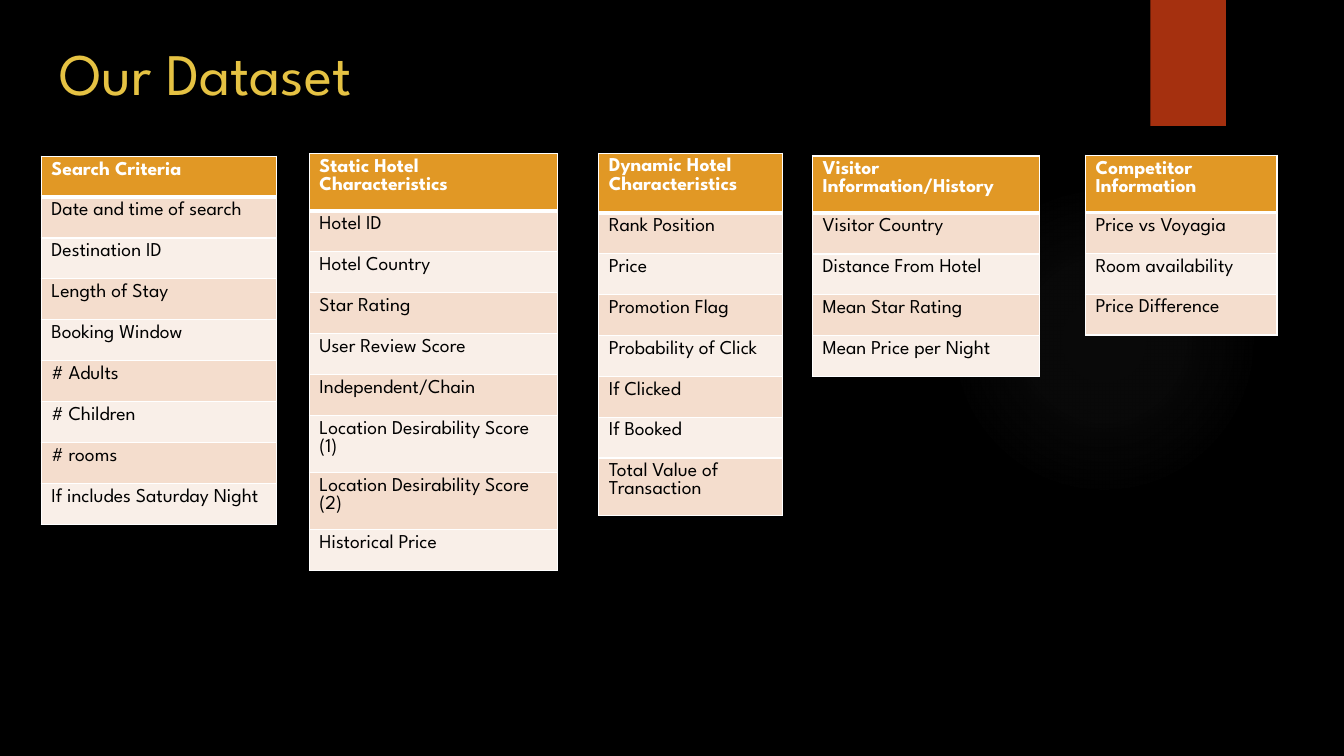
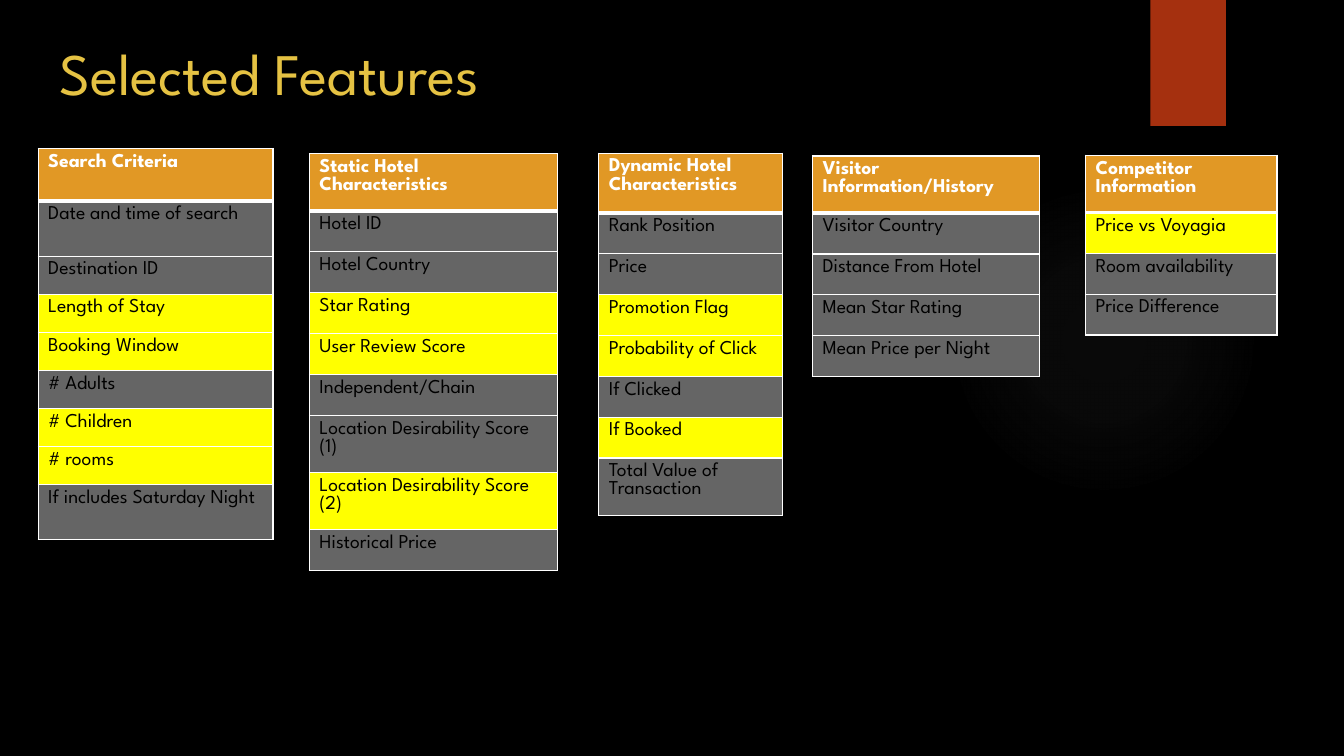
from dataclasses import dataclass, replace
from typing import Callable

from lxml.etree import SubElement
from pptx import Presentation
from pptx.dml.color import RGBColor
from pptx.enum.shapes import MSO_SHAPE as Preset
from pptx.enum.text import MSO_ANCHOR as Anchor
from pptx.oxml import parse_xml
from pptx.oxml.ns import nsdecls, qn
from pptx.util import Pt

# Shared style
FONT = "League Spartan"
BLACK, WHITE = "000000", "FFFFFF"
GOLD, RUST, ORANGE = "E5C243", "A5300F", "E19825"
BANDS = ("F4DDCD", "F9EFE8")
CHOSEN, UNUSED = "FFFF00", "656565"
GLOW = "848484"
TITLE_SIZE, CELL_SIZE = 42, 14
ROW, TWO_LINES = 29.2, 33


@dataclass(frozen=True)
class FeatureGroup:
    heading: str
    left: float
    top: float
    width: float
    heading_height: float
    features: tuple[str, ...]
    heights: tuple[float, ...] = ()


FillRule = Callable[[int, str], str]


def rgb(value: str) -> RGBColor:
    return RGBColor.from_string(value)


def style_runs(paragraph, size: float, color: str, bold: bool = False) -> None:
    for run in paragraph.runs:
        run.font.name = FONT
        run.font.size = Pt(size)
        run.font.bold = bold
        run.font.color.rgb = rgb(color)


# Backdrop and title, the same on every slide
def add_plain_shape(slide, preset, left: float, top: float, width: float, height: float):
    shape = slide.shapes.add_shape(preset, Pt(left), Pt(top), Pt(width), Pt(height))
    shape.shadow.inherit = False
    shape.line.fill.background()
    return shape


def add_glow(slide) -> None:
    glow = add_plain_shape(slide, Preset.OVAL, 677.5, 131.8, 221.8, 221.8)
    stops = "".join(
        f'<a:gs pos="{place * 1000}"><a:srgbClr val="{GLOW}">'
        f'<a:alpha val="{opacity * 1000}"/></a:srgbClr></a:gs>'
        for place, opacity in ((0, 7), (36, 6), (69, 0), (100, 0))
    )
    gradient = parse_xml(
        f'<a:gradFill {nsdecls("a")} rotWithShape="1"><a:gsLst>{stops}</a:gsLst>'
        '<a:path path="circle"><a:fillToRect l="50000" t="50000" r="50000" b="50000"/>'
        "</a:path></a:gradFill>"
    )
    glow._element.spPr.find(qn("a:prstGeom")).addnext(gradient)


def add_titled_slide(deck, title: str):
    slide = deck.slides.add_slide(deck.slide_layouts[6])
    add_glow(slide)
    ribbon = add_plain_shape(slide, Preset.RECTANGLE, 821.7, 0, 54, 90)
    ribbon.fill.solid()
    ribbon.fill.fore_color.rgb = rgb(RUST)

    frame = slide.shapes.add_textbox(Pt(35.3), Pt(19.4), Pt(741), Pt(64.8)).text_frame
    frame.word_wrap = True
    frame.vertical_anchor = Anchor.MIDDLE
    frame.text = title
    style_runs(frame.paragraphs[0], TITLE_SIZE, GOLD)
    return slide


# Feature tables
def add_borders(cell, bottom: float) -> None:
    properties = cell._tc.get_or_add_tcPr()
    for side, width in (("lnL", 1), ("lnR", 1), ("lnT", 1), ("lnB", bottom)):
        line = SubElement(properties, qn(f"a:{side}"), w=str(Pt(width)))
        fill = SubElement(line, qn("a:solidFill"))
        SubElement(fill, qn("a:srgbClr"), val=WHITE)


def fill_cell(cell, text: str, fill: str, color: str,
              bold: bool = False, bottom: float = 1) -> None:
    add_borders(cell, bottom)
    cell.fill.solid()
    cell.fill.fore_color.rgb = rgb(fill)
    cell.text_frame.text = text
    style_runs(cell.text_frame.paragraphs[0], CELL_SIZE, color, bold)


def add_feature_table(slide, group: FeatureGroup, fill_rule: FillRule) -> None:
    heights = (group.heading_height, *(group.heights or (ROW,) * len(group.features)))
    table = slide.shapes.add_table(
        len(heights), 1, Pt(group.left), Pt(group.top), Pt(group.width), Pt(sum(heights))
    ).table
    table.horz_banding = False
    for row, height in zip(table.rows, heights):
        row.height = Pt(height)
    fill_cell(table.cell(0, 0), group.heading, ORANGE, WHITE, bold=True, bottom=3)
    for index, feature in enumerate(group.features):
        fill_cell(table.cell(index + 1, 0), feature, fill_rule(index, feature), BLACK)


def banded(index: int, feature: str) -> str:
    return BANDS[index % 2]


def highlighted(index: int, feature: str) -> str:
    return CHOSEN if feature in SELECTED else UNUSED


# Content
SEARCH = FeatureGroup(
    "Search Criteria", 29.5, 111.6, 167.8, ROW,
    ("Date and time of search", "Destination ID", "Length of Stay", "Booking Window",
     "# Adults", "# Children", "# rooms", "If includes Saturday Night"),
)
OTHER_GROUPS = (
    FeatureGroup(
        "Static Hotel Characteristics", 221, 109.8, 177.1, TWO_LINES,
        ("Hotel ID", "Hotel Country", "Star Rating", "User Review Score",
         "Independent/Chain", "Location Desirability Score (1)",
         "Location Desirability Score (2)", "Historical Price"),
    ),
    FeatureGroup(
        "Dynamic Hotel Characteristics", 427.7, 109.4, 131, 42.6,
        ("Rank Position", "Price", "Promotion Flag", "Probability of Click",
         "If Clicked", "If Booked", "Total Value of Transaction"),
    ),
    FeatureGroup(
        "Visitor Information/History", 580.3, 111.4, 162, 36,
        ("Visitor Country", "Distance From Hotel", "Mean Star Rating",
         "Mean Price per Night"),
    ),
    FeatureGroup(
        "Competitor Information", 775.4, 110.9, 136.8, TWO_LINES,
        ("Price vs Voyagia", "Room availability", "Price Difference"),
    ),
)
SELECTED = {
    "Length of Stay", "Booking Window", "# Children", "# rooms",
    "Star Rating", "User Review Score", "Location Desirability Score (2)",
    "Promotion Flag", "Probability of Click", "If Booked", "Price vs Voyagia",
}
SEARCH_SELECTED = replace(
    SEARCH, left=27.2, top=106, heading_height=37.6,
    heights=(39.4, *(27.2,) * 6, 39.4),
)

# Slides
deck = Presentation()
deck.slide_width, deck.slide_height = Pt(960), Pt(540)
backdrop = deck.slide_master.background.fill
backdrop.solid()
backdrop.fore_color.rgb = rgb(BLACK)

for title, search, fill_rule in (
    ("Our Dataset", SEARCH, banded),
    ("Selected Features", SEARCH_SELECTED, highlighted),
):
    slide = add_titled_slide(deck, title)
    for group in (search, *OTHER_GROUPS):
        add_feature_table(slide, group, fill_rule)

deck.save("out.pptx")
